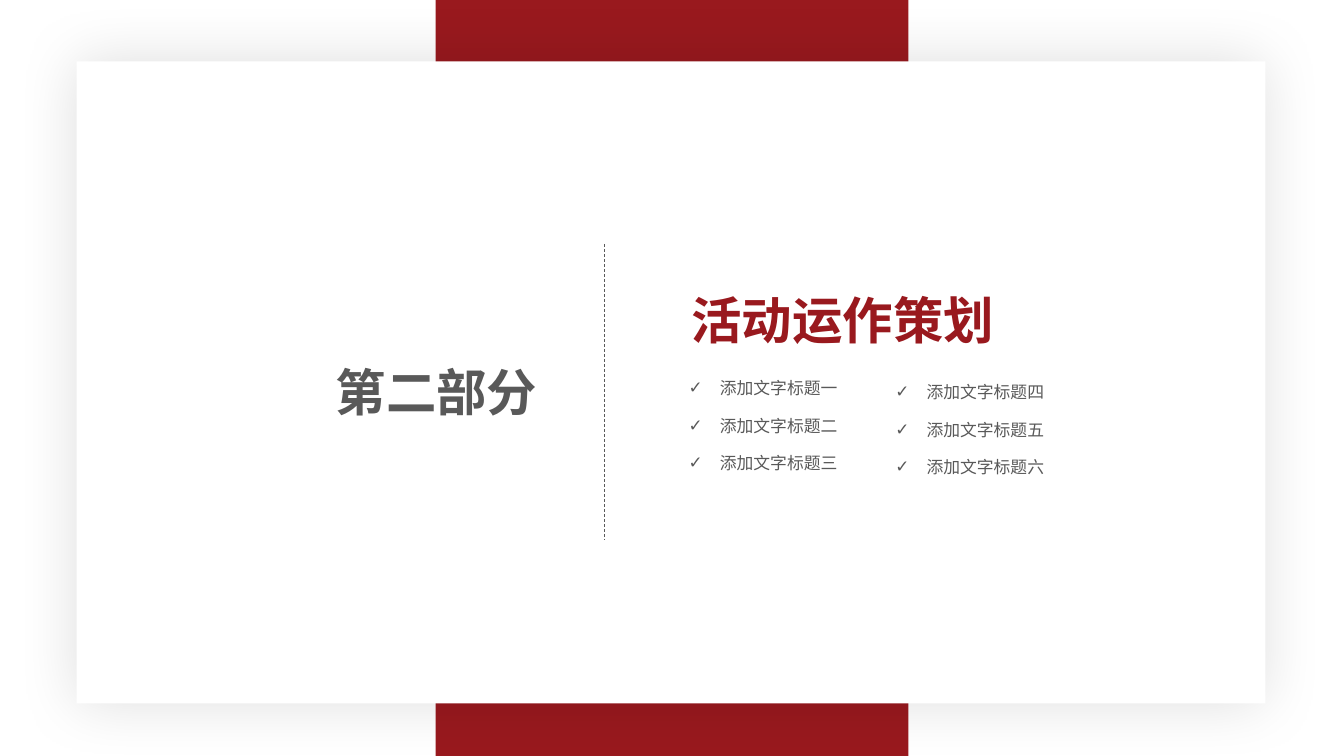
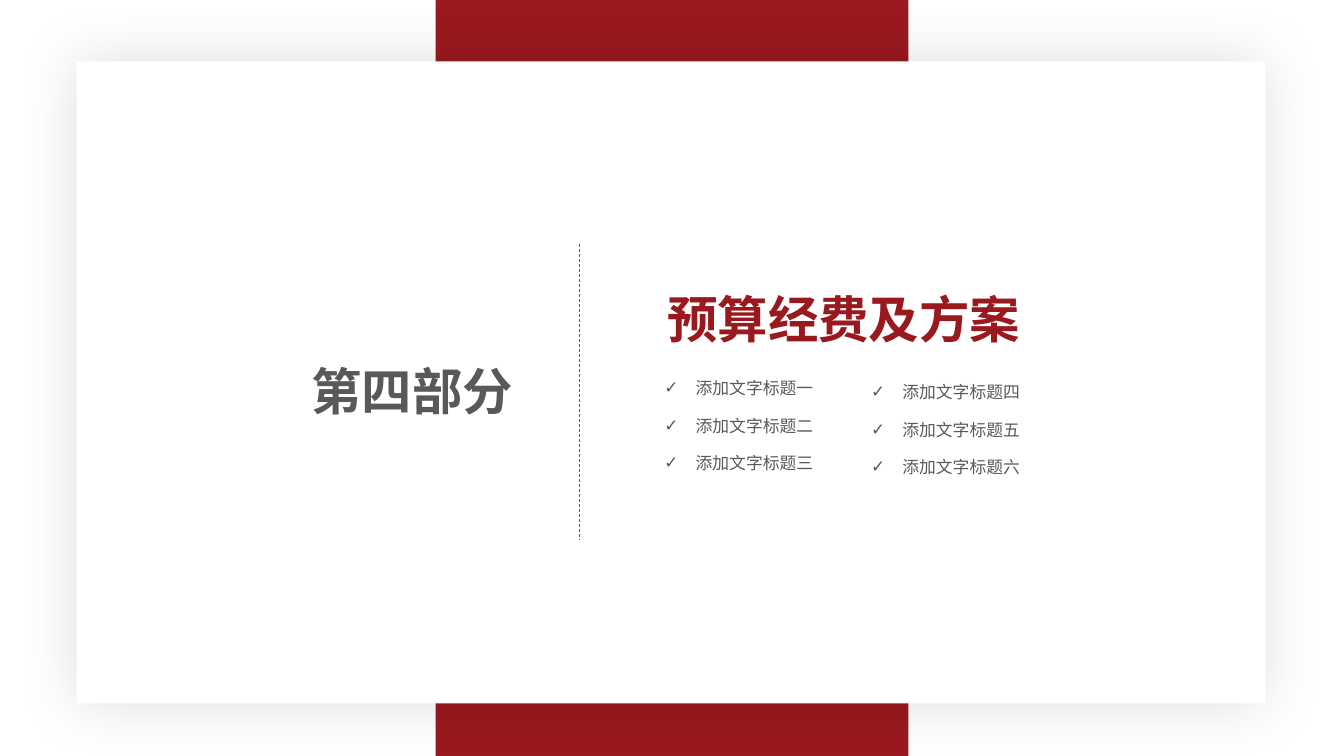
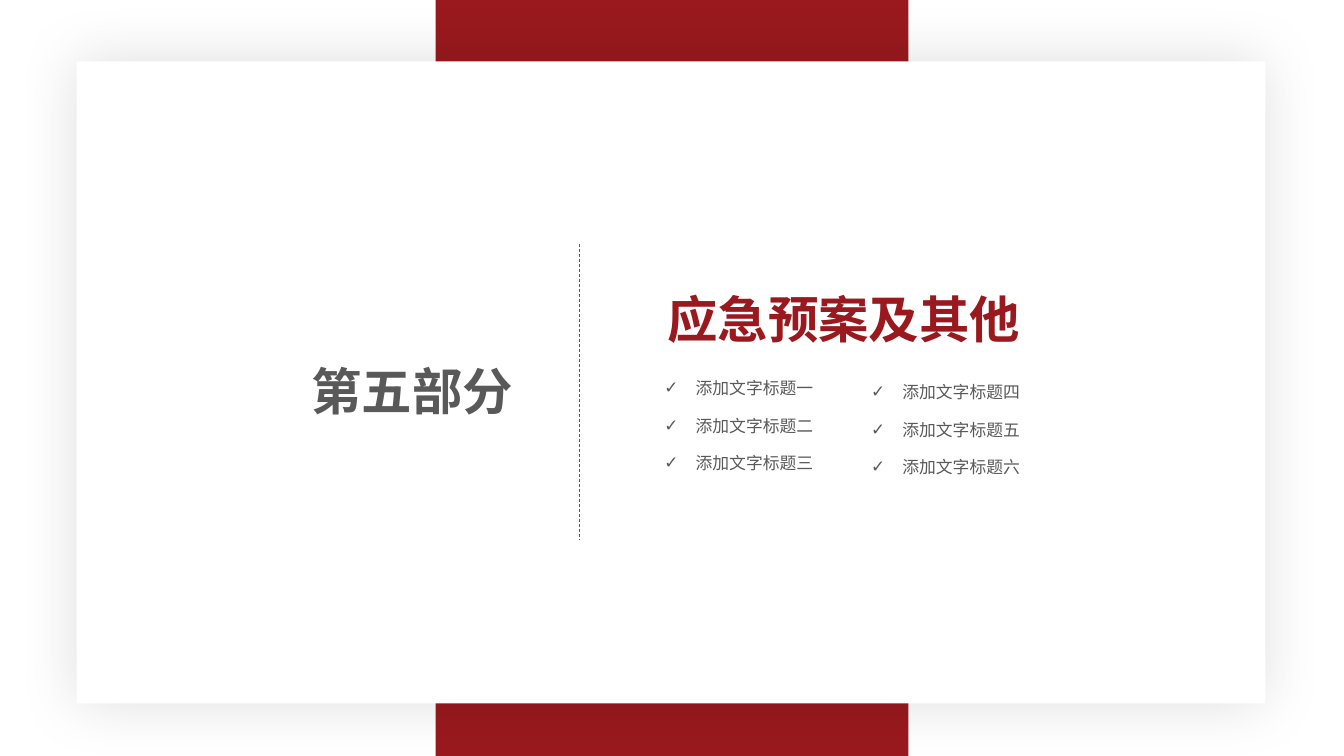
from lxml import etree
from pptx import Presentation
from pptx.dml.color import RGBColor
from pptx.enum import dml, lang, shapes, text
from pptx.oxml import ns
from pptx.util import Inches, Pt

HUES = {"red": "99191E", "gray": "595959", "white": "FFFFFF", "black": "000000"}
FACE = "Arial"
ITEMS = [["添加文字标题一", "添加文字标题二", "添加文字标题三"],
         ["添加文字标题四", "添加文字标题五", "添加文字标题六"]]
PARTS = [("第二部分", "活动运作策划", 5.99, 2.82, 3.23),
         ("第四部分", "预算经费及方案", 5.75, 2.81, 3.74),
         ("第五部分", "应急预案及其他", 5.75, 2.81, 3.74)]


def hue(name):
    return RGBColor.from_string(HUES[name])


def sub(node, tag, **attrs):
    return etree.SubElement(node, ns.qn(tag), attrs)


def add_box(slide, place, fill):
    box = slide.shapes.add_shape(shapes.MSO_SHAPE.RECTANGLE, *map(Inches, place))
    box.shadow.inherit = False
    box.fill.solid()
    box.fill.fore_color.rgb = hue(fill)
    box.line.fill.background()
    return box


def add_glow(box, alpha, blur):
    effects = box._element.spPr.find(ns.qn("a:effectLst"))
    shade = sub(effects, "a:outerShdw", blurRad=str(Pt(blur)), dist="0", dir="0",
                algn="ctr", rotWithShape="0")
    color = sub(shade, "a:srgbClr", val=HUES["black"])
    sub(color, "a:alpha", val=str(alpha * 1000))


def add_text(group, place, words, size, color, bold=False, wrap=False):
    box = group.shapes.add_textbox(*map(Inches, place))
    frame = box.text_frame
    frame.word_wrap = wrap
    frame.auto_size = text.MSO_AUTO_SIZE.SHAPE_TO_FIT_TEXT
    frame.text = words
    font = frame.paragraphs[0].runs[0].font
    font.name = FACE
    font.size = Pt(size)
    font.bold = bold
    font.color.rgb = hue(color)
    font.language_id = lang.MSO_LANGUAGE_ID.SIMPLIFIED_CHINESE
    return frame


def add_item(group, left, top, words):
    frame = add_text(group, (left, top, 1.65, 0.28), words, 12, "gray")
    frame.margin_left = frame.margin_right = Inches(0.07)
    frame.margin_top = frame.margin_bottom = Inches(0.04)
    props = frame.paragraphs[0]._p.get_or_add_pPr()
    props.set("marL", str(Inches(0.31)))
    props.set("indent", str(Inches(-0.31)))
    sub(props, "a:buFont", typeface=FACE)
    sub(props, "a:buChar", char="✓")


def add_rule(group, left, top, end):
    rule = group.shapes.add_connector(shapes.MSO_CONNECTOR.STRAIGHT,
                                      *map(Inches, (left, top, left, end)))
    rule.line.color.rgb = hue("gray")
    rule.line.width = Pt(0.5)
    rule.line.dash_style = dml.MSO_LINE.DASH
    sub(rule._element.spPr, "a:effectLst")


def add_part(deck, label, title, axis, top, width):
    slide = deck.slides.add_slide(deck.slide_layouts[6])
    add_box(slide, (4.32, 0, 4.69, 7.5), "red")
    add_glow(add_box(slide, (0.76, 0.61, 11.79, 6.37), "white"), 12, 44)
    group = slide.shapes.add_group_shape()
    frame = add_text(group, (axis - 4.18, top + 0.71, 5.04, 0.71), label, 36,
                     "gray", bold=True, wrap=True)
    frame.paragraphs[0].alignment = text.PP_ALIGN.CENTER
    left = axis + 0.77
    add_text(group, (left, top, width, 0.71), title, 36, "red", bold=True)
    for col, names in enumerate(ITEMS):
        for row, words in enumerate(names):
            add_item(group, left + col * 2.05, 3.71 + col * 0.04 + row * 0.37, words)
    add_rule(group, axis, 2.42, 5.35)


def main():
    deck = Presentation()
    deck.slide_width = Inches(13.33)
    deck.slide_height = Inches(7.5)
    for part in PARTS:
        add_part(deck, *part)
    deck.save("out.pptx")


if __name__ == "__main__":
    main()
